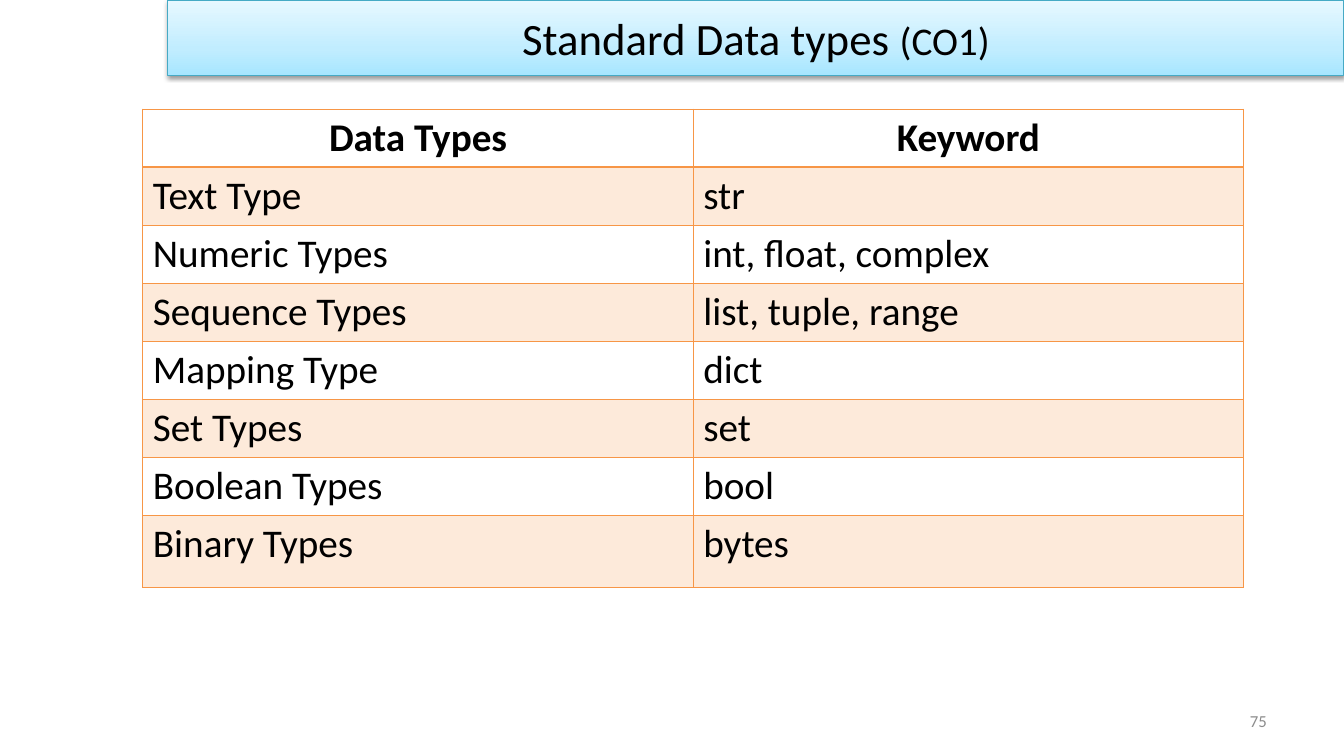
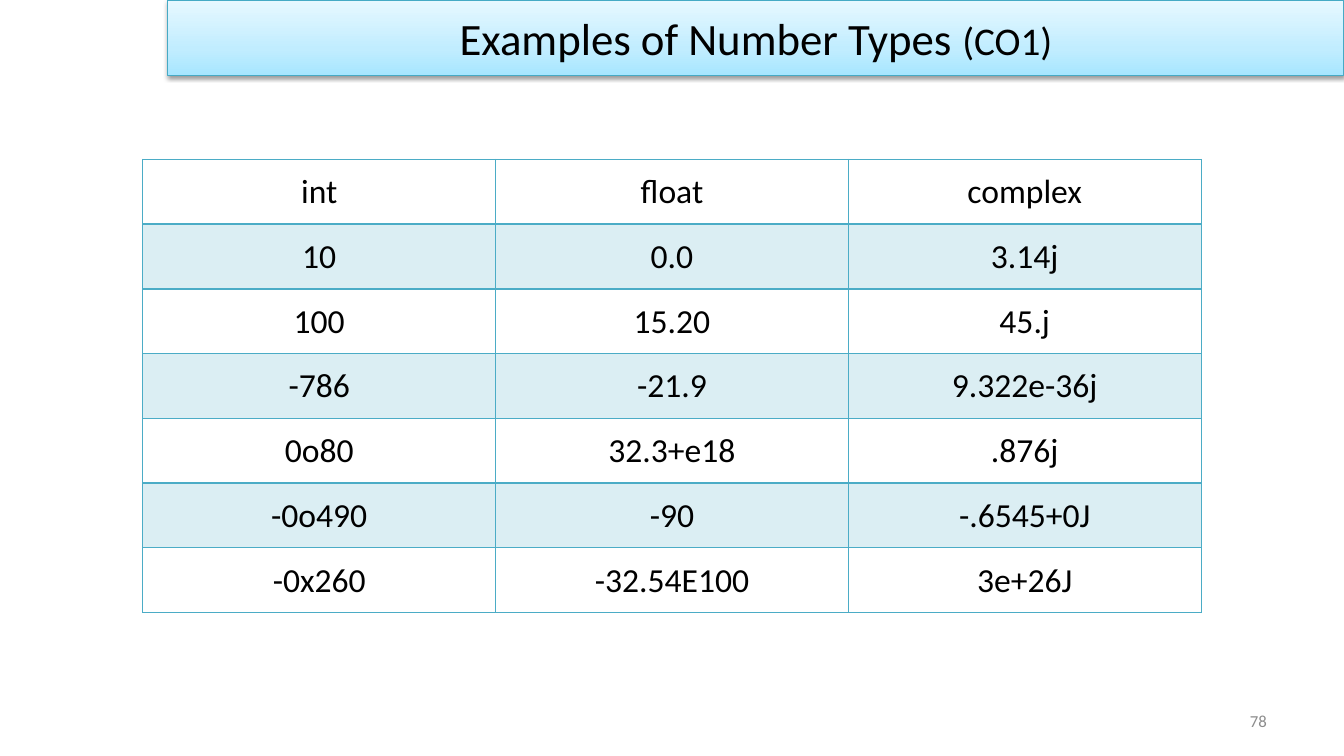
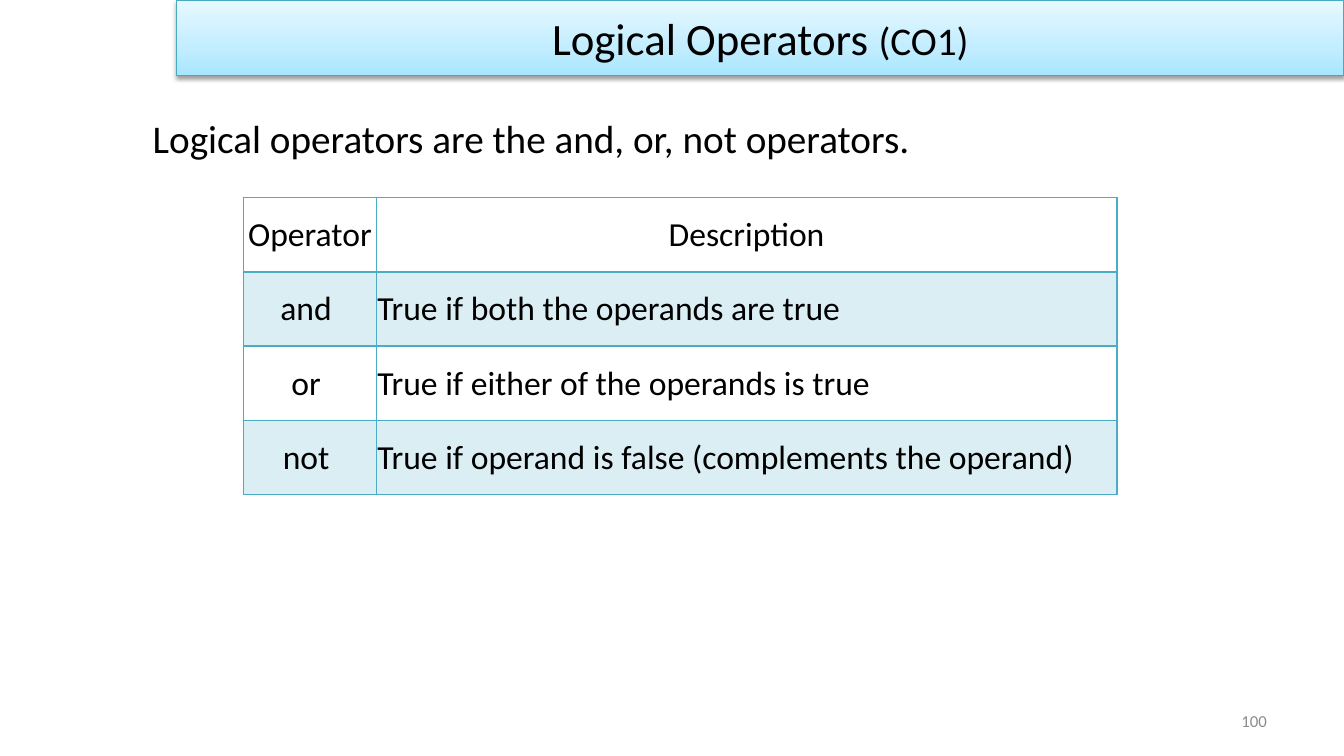
from dataclasses import dataclass

from lxml import etree
from pptx import Presentation
from pptx.dml.color import RGBColor
from pptx.enum.text import MSO_ANCHOR, MSO_AUTO_SIZE, PP_ALIGN
from pptx.oxml import parse_xml
from pptx.slide import Slide
from pptx.text.text import TextFrame
from pptx.util import Cm, Pt

LEFT, MID, RIGHT = PP_ALIGN.LEFT, PP_ALIGN.CENTER, PP_ALIGN.RIGHT
TOP, CENTER = MSO_ANCHOR.TOP, MSO_ANCHOR.MIDDLE
NO_FIT = MSO_AUTO_SIZE.NONE

# Shared look; lengths in cm, text sizes in points
WIDE, HIGH = 33.87, 19.05
FONT = "Calibri"
BLACK, GREY = "000000", "8C8C8C"
ORANGE, TEAL, EDGE = "F79646", "4BACC6", "46AAC5"
STOPS = ((0, "A7E6FF"), (35, "C1EDFF"), (100, "E7F8FF"))
BAND_H = 1.9
MARGIN = 3.6
NS = 'xmlns:a="http://schemas.openxmlformats.org/drawingml/2006/main"'


@dataclass(frozen=True)
class Run:
    text: str
    size: float
    color: str = BLACK
    bold: bool = False


@dataclass(frozen=True)
class Grid:
    left: float
    top: float
    cols: tuple[float, ...]
    rows: tuple[float, ...]
    cells: tuple[tuple[str, ...], ...]
    aligns: tuple[PP_ALIGN, ...]
    color: str = TEAL
    size: float = 24
    bold: bool = False    # header weight
    tight: bool = True    # thin insets, text in the middle


@dataclass(frozen=True)
class Page:
    title: str
    number: str
    grid: Grid
    band: float = 4.23
    intro: str = ""


def rgb(code: str) -> RGBColor:
    return RGBColor.from_string(code)


def xml(body: str) -> etree._Element:
    """Parse one drawing element, declaring its namespace."""
    name, rest = body[1:].split(" ", 1)
    return parse_xml(f"<{name} {NS} {rest}")


def write(frame: TextFrame, runs: list[Run], align: PP_ALIGN) -> None:
    para = frame.paragraphs[0]
    para.alignment = align
    for item in runs:
        run = para.add_run()
        run.text = item.text
        font = run.font
        font.name, font.size, font.bold = FONT, Pt(item.size), item.bold
        font.color.rgb = rgb(item.color)


def add_text(slide: Slide, box: tuple[float, ...], run: Run,
             align: PP_ALIGN, anchor: MSO_ANCHOR) -> None:
    frame = slide.shapes.add_textbox(*map(Cm, box)).text_frame
    frame.word_wrap = True
    frame.vertical_anchor = anchor
    write(frame, [run], align)


def add_band(slide: Slide, text: str, left: float) -> None:
    band = slide.shapes.title
    band.left, band.top = Cm(left), Cm(0)
    band.width, band.height = Cm(WIDE - left), Cm(BAND_H)
    # Gradient, outline and soft shadow
    props = band.element.spPr
    stops = "".join(f'<a:gs pos="{pos * 1000}"><a:srgbClr val="{code}"/></a:gs>'
                    for pos, code in STOPS)
    props.append(xml('<a:gradFill rotWithShape="1">'
                     f'<a:gsLst>{stops}</a:gsLst>'
                     '<a:lin ang="16200000" scaled="0"/></a:gradFill>'))
    band.line.color.rgb = rgb(EDGE)
    band.line.width = Pt(0.75)
    props.append(xml(
        '<a:effectLst ><a:outerShdw blurRad="40000" dist="20000" dir="5400000" '
        f'rotWithShape="0"><a:srgbClr val="{BLACK}"><a:alpha val="38000"/>'
        '</a:srgbClr></a:outerShdw></a:effectLst>'))
    frame = band.text_frame
    frame.auto_size = NO_FIT
    frame.word_wrap = True
    frame.vertical_anchor = CENTER
    write(frame, [Run(text + " ", 32), Run("(CO1)", 28)], MID)


def add_grid(slide: Slide, grid: Grid) -> None:
    shape = slide.shapes.add_table(
        len(grid.rows), len(grid.cols), Cm(grid.left), Cm(grid.top),
        Cm(sum(grid.cols)), Cm(sum(grid.rows)))
    table = shape.table
    table.first_row = table.horz_banding = False
    for col, width in zip(table.columns, grid.cols):
        col.width = Cm(width)
    for row, height in zip(table.rows, grid.rows):
        row.height = Cm(height)
    for r, texts in enumerate(grid.cells):
        for c, text in enumerate(texts):
            cell = table.cell(r, c)
            if grid.tight:
                cell.margin_left = cell.margin_right = cell.margin_top = Cm(0.03)
                cell.margin_bottom = Cm(0)
                cell.vertical_anchor = CENTER
            # Borders: a double rule under the header
            props = cell._tc.get_or_add_tcPr()
            for side in "LRTB":
                thick = (side, r) in (("B", 0), ("T", 1))
                props.append(xml(
                    f'<a:ln{side} w="{Pt(2 if thick else 1)}"><a:solidFill>'
                    f'<a:srgbClr val="{grid.color}"/></a:solidFill></a:ln{side}>'))
            # Tint on every second row
            if r % 2:
                props.append(xml(
                    f'<a:solidFill ><a:srgbClr val="{grid.color}">'
                    '<a:alpha val="20000"/></a:srgbClr></a:solidFill>'))
            else:
                cell.fill.background()
            head = r == 0
            write(cell.text_frame,
                  [Run(text, grid.size, bold=head and grid.bold)],
                  MID if head else grid.aligns[c])


def add_page(deck: Presentation, page: Page) -> None:
    slide = deck.slides.add_slide(deck.slide_layouts[5])
    add_band(slide, page.title, page.band)
    if page.intro:
        add_text(slide, (MARGIN, 2.75, 28.58, BAND_H), Run(page.intro, 28),
                 LEFT, TOP)
    add_grid(slide, page.grid)
    add_text(slide, (24.28, 17.65, 7.9, 1.01), Run(page.number, 12, GREY),
             RIGHT, CENTER)


TYPES = Grid(
    MARGIN, 2.75, (13.87,) * 2, (1.46,) * 7 + (1.83,),
    (("Data Types", "Keyword"),
     ("Text Type", "str"),
     ("Numeric Types", "int, float, complex"),
     ("Sequence Types", "list, tuple, range"),
     ("Mapping Type", "dict"),
     ("Set Types", "set"),
     ("Boolean Types", "bool"),
     ("Binary Types", "bytes")),
    (LEFT, LEFT), ORANGE, 28, bold=True, tight=False)

NUMBERS = Grid(
    MARGIN, 4.02, (8.89,) * 3, (1.63,) * 7,
    (("int", "float", "complex"),
     ("10", "0.0", "3.14j"),
     ("100", "15.20", "45.j"),
     ("-786", "-21.9", "9.322e-36j"),
     ("0o80", "32.3+e18", ".876j"),
     ("-0o490", "-90", "-.6545+0J"),
     ("-0x260", "-32.54E100", "3e+26J")),
    (MID,) * 3)

LOGIC = Grid(
    6.14, 4.98, (3.34, 18.67), (1.87,) * 4,
    (("Operator", "Description"),
     ("and ", "True if both the operands are true"),
     ("or ", "True if either of the operands is true"),
     ("not ", "True if operand is false (complements the operand)")),
    (MID, LEFT))

PAGES = (
    Page("Standard Data types", "75", TYPES),
    Page("Examples of Number Types", "78", NUMBERS),
    Page("Logical Operators", "100", LOGIC, 4.45,
         "Logical operators are the and, or, not operators."),
)


def main() -> None:
    deck = Presentation()
    deck.slide_width, deck.slide_height = Cm(WIDE), Cm(HIGH)
    for page in PAGES:
        add_page(deck, page)
    deck.save("out.pptx")


if __name__ == "__main__":
    main()
